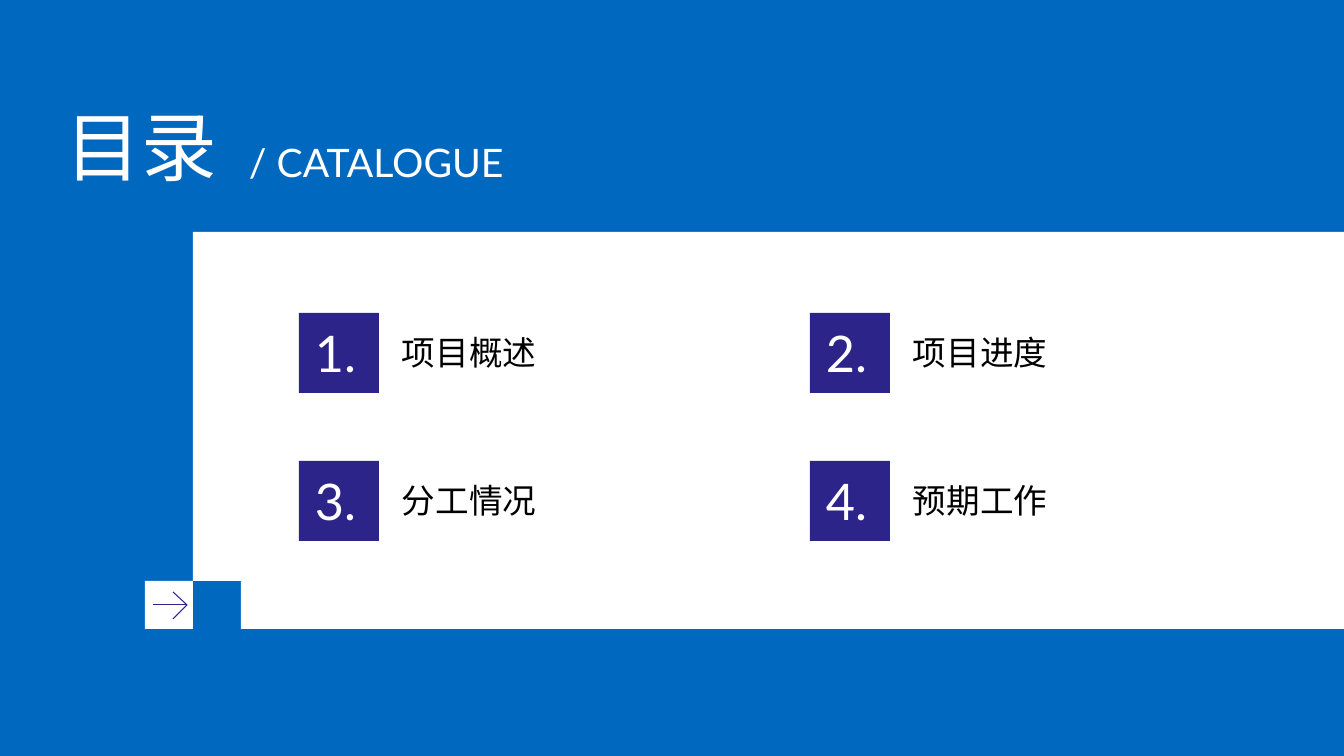
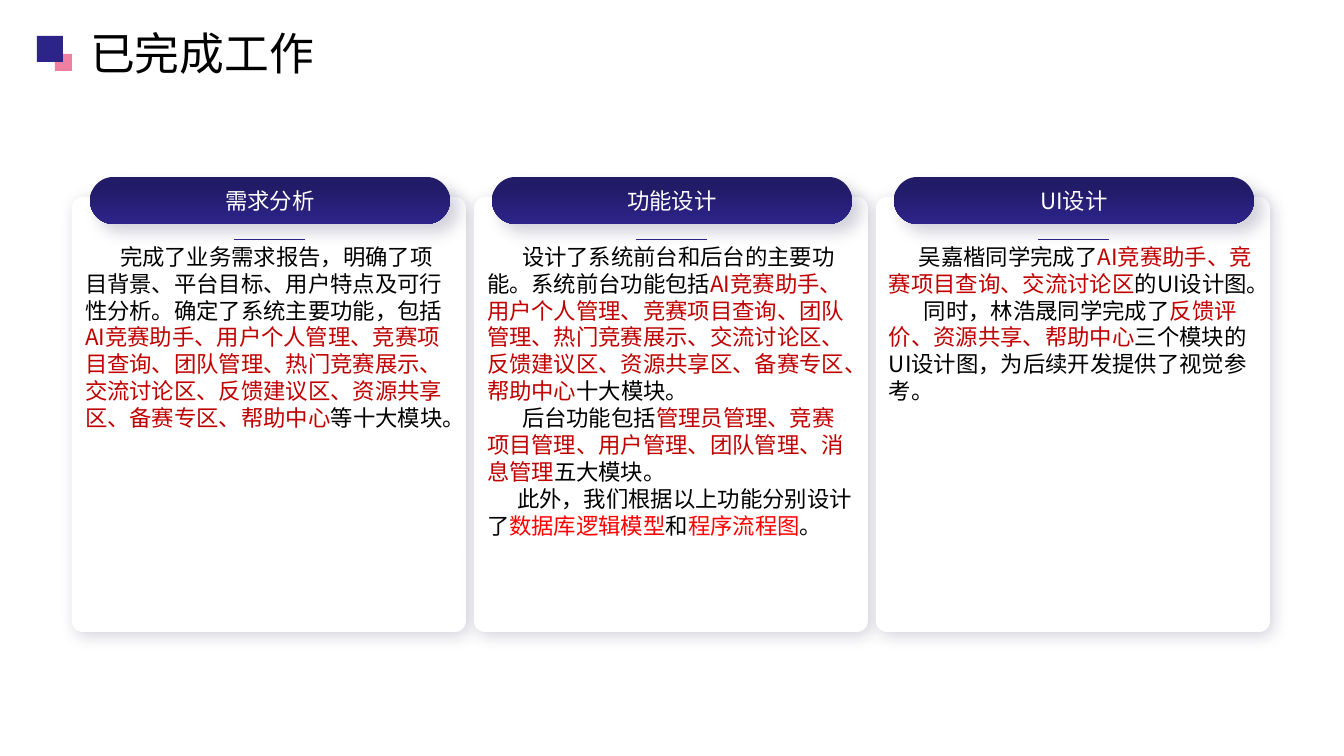
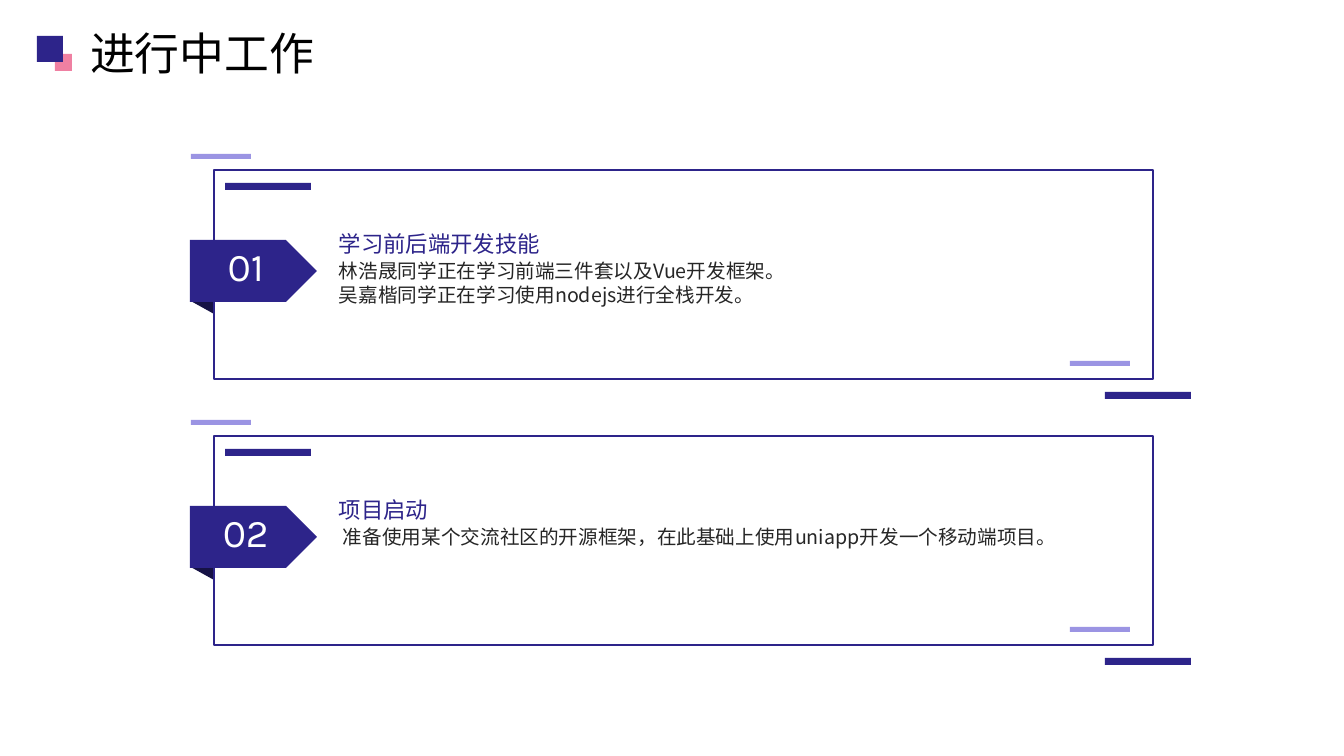
from lxml.etree import SubElement
from pptx import Presentation
from pptx.dml.color import RGBColor
from pptx.enum.shapes import MSO_CONNECTOR, MSO_SHAPE
from pptx.enum.text import MSO_ANCHOR, MSO_AUTO_SIZE, PP_ALIGN
from pptx.oxml.ns import qn
from pptx.util import Pt

EMU_PER_PX = 914400 / 100.8
SLIDE_SIZE = (1344, 756)
TITLE_ONLY = 5
CJK = "Noto Sans CJK SC"

COLORS = {
    "blue": "0068BF", "indigo": "2D248A", "deep": "221B68", "night": "161245",
    "lilac": "9B94E3", "pink": "EF80A2", "white": "FFFFFF", "black": "000000",
    "gray": "262626", "crimson": "C00000", "red": "FF0000",
}

STYLES = {
    "cover": {"size": 54, "name": "Lato", "color": "white"},
    "subtitle": {"size": 28, "name": "Lato", "color": "white"},
    "number": {"size": 36, "name": "Lato", "color": "white"},
    "entry": {"size": 24, "name": CJK, "color": "black"},
    "title": {"size": 32, "name": CJK, "color": "black"},
    "pill": {"size": 16, "name": CJK, "color": "white", "align": PP_ALIGN.CENTER},
    "card": {"size": 16, "name": CJK, "color": "black"},
    "tag": {"size": 28, "name": "Karla", "color": "white", "align": PP_ALIGN.CENTER},
    "heading": {"size": 16, "name": CJK, "color": "indigo"},
    "detail": {"size": 14, "name": CJK, "color": "gray"},
}

CONTENTS = ["项目概述", "项目进度", "分工情况", "预期工作"]
MODULES = ("AI竞赛助手、用户个人管理、竞赛项目查询、团队管理、热门竞赛展示、"
           "交流讨论区、反馈建议区、资源共享区、备赛专区、帮助中心")

CARDS = [
    ("需求分析", [
        (35, [("完成了业务需求报告，明确了项目背景、平台目标、用户特点及可行性分析。"
               "确定了系统主要功能，包括", "black"),
              (MODULES, "crimson"), ("等十大模块。", "black")]),
    ]),
    ("功能设计", [
        (35, [("设计了系统前台和后台的主要功能。系统前台功能包括", "black"),
              (MODULES, "crimson"), ("十大模块。", "black")]),
        (35, [("后台功能包括", "black"),
              ("管理员管理、竞赛项目管理、用户管理、团队管理、消息管理", "crimson"),
              ("五大模块。", "black")]),
        (30, [("此外，我们根据以上功能分别设计了", "black"),
              ("数据库逻辑模型", "red"), ("和", "black"),
              ("程序流程图", "red"), ("。", "black")]),
    ]),
    ("UI设计", [
        (30, [("吴嘉楷同学完成了", "black"),
              ("AI竞赛助手、竞赛项目查询、交流讨论区", "crimson"),
              ("的UI设计图。", "black")]),
        (35, [("同时，林浩晟同学完成了", "black"),
              ("反馈评价、资源共享、帮助中心", "crimson"),
              ("三个模块的UI设计图，为后续开发提供了视觉参考。", "black")]),
    ]),
]

TASKS = [
    ("学习前后端开发技能", [
        (0, [("林浩晟同学正在学习前端三件套以及Vue开发框架。", "gray")]),
        (0, [("吴嘉楷同学正在学习使用nodejs进行全栈开发。", "gray")]),
    ]),
    ("项目启动", [
        (4, [("准备使用某个交流社区的开源框架，在此基础上使用uniapp开发一个移动端项目。",
              "gray")]),
    ]),
]


def px(length):
    """Turn pixels into EMU."""
    return round(length * EMU_PER_PX)


def rgb(name):
    """Look up a palette colour."""
    return RGBColor.from_string(COLORS[name])


def set_values(target, values):
    """Set each named attribute on the target."""
    for name, value in values.items():
        setattr(target, name, value)


def place(shape, box):
    """Move and size a shape to a pixel box."""
    names = ("left", "top", "width", "height")
    set_values(shape, dict(zip(names, map(px, box))))


def write(shape, text, style, anchor=MSO_ANCHOR.MIDDLE, inset=(0, 0)):
    """Fill a shape with a string or with (indent, runs) paragraphs."""
    look = STYLES[style]
    frame = shape.text_frame
    set_values(frame, {
        "word_wrap": True, "auto_size": MSO_AUTO_SIZE.NONE, "vertical_anchor": anchor,
        "margin_left": px(inset[0]), "margin_top": px(inset[1]),
        "margin_right": 0, "margin_bottom": 0,
    })
    paragraphs = [(0, [(text, look["color"])])] if isinstance(text, str) else text
    for index, (indent, runs) in enumerate(paragraphs):
        paragraph = frame.add_paragraph() if index else frame.paragraphs[0]
        paragraph.alignment = look.get("align", PP_ALIGN.LEFT)
        if indent:
            paragraph._p.get_or_add_pPr().set("indent", str(px(indent)))
        for words, color in runs:
            run = paragraph.add_run()
            run.text = words
            set_values(run.font, {"size": Pt(look["size"]), "name": look["name"]})
            run.font.color.rgb = rgb(color)
            SubElement(run._r.get_or_add_rPr(), qn("a:ea"), typeface=CJK)


def add_text(slide, box, text, style, anchor=MSO_ANCHOR.MIDDLE):
    """Add a text box."""
    write(slide.shapes.add_textbox(*map(px, box)), text, style, anchor)


def add_block(slide, box, fill, kind=MSO_SHAPE.RECTANGLE, line=None):
    """Add a flat preset shape."""
    shape = slide.shapes.add_shape(kind, *map(px, box))
    paint(shape, fill, line)
    return shape


def paint(shape, fill=None, line=None, width=1):
    """Give a shape a plain fill and outline, without shadow."""
    shape.shadow.inherit = False
    if fill:
        shape.fill.solid()
        shape.fill.fore_color.rgb = rgb(fill)
    else:
        shape.fill.background()
    if line:
        shape.line.color.rgb = rgb(line)
        shape.line.width = Pt(width)
    else:
        shape.line.fill.background()


def add_outline(slide, strokes, closed):
    """Add a freeform made of one or more strokes."""
    builder = slide.shapes.build_freeform(*strokes[0][0], scale=EMU_PER_PX)
    builder.add_line_segments(strokes[0][1:], close=closed)
    for stroke in strokes[1:]:
        builder.move_to(*stroke[0])
        builder.add_line_segments(stroke[1:], close=closed)
    return builder.convert_to_shape()


def add_rounded(slide, box, radius, blur, distance):
    """Add a white rounded rectangle with a soft shadow."""
    shape = add_block(slide, box, "white", MSO_SHAPE.ROUNDED_RECTANGLE)
    shape.adjustments[0] = radius
    effects = shape._element.spPr.find(qn("a:effectLst"))
    shadow = SubElement(effects, qn("a:outerShdw"), blurRad=str(Pt(blur)),
                        dist=str(Pt(distance)), dir="2700000", algn="tl",
                        rotWithShape="0")
    color = SubElement(shadow, qn("a:srgbClr"), val=COLORS["night"])
    SubElement(color, qn("a:alpha"), val="19000")
    return shape


def add_rule(slide, left, top, length):
    """Add a thin horizontal line."""
    rule = slide.shapes.add_connector(
        MSO_CONNECTOR.STRAIGHT, px(left), px(top), px(left + length), px(top))
    rule.line.color.rgb = rgb("indigo")
    rule.line.width = Pt(0.5)
    SubElement(rule._element.spPr, qn("a:effectLst"))


def add_slide(presentation, title, box=(90, 29, 1193, 47), style="title"):
    """Add a slide with its title set in the placeholder."""
    slide = presentation.slides.add_slide(presentation.slide_layouts[TITLE_ONLY])
    place(slide.shapes.title, box)
    write(slide.shapes.title, title, style)
    return slide


def add_content_slide(presentation, title):
    """Add a titled slide with the two marker squares."""
    slide = add_slide(presentation, title)
    add_block(slide, (55, 54, 17, 17), "pink")
    add_block(slide, (37, 36, 26, 26), "indigo")
    return slide


def add_card(slide, left, heading, text):
    """Add a card with a pill heading."""
    add_rounded(slide, (left, 197, 394, 435), 0.028, 12, 3)
    pill = add_rounded(slide, (left + 18, 177, 360, 47), 0.5, 11, 8)
    pill.fill.gradient()
    pill.fill.gradient_angle = 270
    for stop, (position, color) in zip(pill.fill.gradient_stops,
                                       [(0.24, "deep"), (1, "indigo")]):
        stop.position = position
        stop.color.rgb = rgb(color)
    write(pill, heading, "pill")
    add_text(slide, (left + 13, 243, 368, 380), text, "card", MSO_ANCHOR.TOP)
    add_rule(slide, left + 162, 239, 71)


def add_task(slide, top, number, heading, text):
    """Add a framed task with a numbered tag and accent bars."""
    fold = add_block(slide, (196, top + 116, 28, 24), "night",
                     MSO_SHAPE.ISOSCELES_TRIANGLE)
    fold.rotation = 29.1
    add_block(slide, (214, top, 939, 209), "white", line="indigo")
    tag = add_block(slide, (190, top + 70, 127, 62), "indigo", MSO_SHAPE.PENTAGON)
    write(tag, f"{number:02}", "tag", MSO_ANCHOR.TOP, (0, 2))
    add_text(slide, (339, top + 89, 779, 90), text, "detail", MSO_ANCHOR.TOP)
    for left, offset in [(225, 13), (1105, 222)]:
        add_block(slide, (left, top + offset, 86, 7), "indigo")
    for left, offset in [(191, -16), (1070, 191)]:
        add_block(slide, (left, top + offset, 60, 5), "lilac")
    add_text(slide, (339, top + 29, 779, 58), heading, "heading", MSO_ANCHOR.BOTTOM)


def build_catalogue(presentation):
    """Build the table of contents."""
    slide = add_slide(presentation, "目录", (66, 104, 183, 83), "cover")
    slide.background.fill.solid()
    slide.background.fill.fore_color.rgb = rgb("blue")
    panel = [(193, 232), (1344, 232), (1344, 629), (241, 629), (241, 581), (193, 581)]
    paint(add_outline(slide, [panel], True), "white")
    add_text(slide, (249, 140, 356, 43), "/ CATALOGUE", "subtitle")
    add_block(slide, (145, 581, 48, 48), "white")
    arrow = [[(153, 605), (187, 605)], [(173, 592), (187, 605), (173, 619)]]
    paint(add_outline(slide, arrow, False), line="indigo", width=0.75)
    for index, entry in enumerate(CONTENTS):
        row, column = divmod(index, 2)
        left, top = 299 + 511 * column, 313 + 148 * row
        square = add_block(slide, (left, top, 80, 80), "indigo")
        write(square, f"{index + 1}.", "number", MSO_ANCHOR.TOP, (16, 9))
        add_text(slide, (left + 103, top - 8, 357, 95), entry, "entry")


def build_done(presentation):
    """Build the slide of finished work."""
    slide = add_content_slide(presentation, "已完成工作")
    for index, (heading, text) in enumerate(CARDS):
        add_card(slide, 72 + 402 * index, heading, text)


def build_ongoing(presentation):
    """Build the slide of work in progress."""
    slide = add_content_slide(presentation, "进行中工作")
    for index, (heading, text) in enumerate(TASKS):
        add_task(slide, 170 + 266 * index, index + 1, heading, text)


def main():
    """Build and save the presentation."""
    presentation = Presentation()
    width, height = map(px, SLIDE_SIZE)
    set_values(presentation, {"slide_width": width, "slide_height": height})
    build_catalogue(presentation)
    build_done(presentation)
    build_ongoing(presentation)
    presentation.save("out.pptx")


if __name__ == "__main__":
    main()
